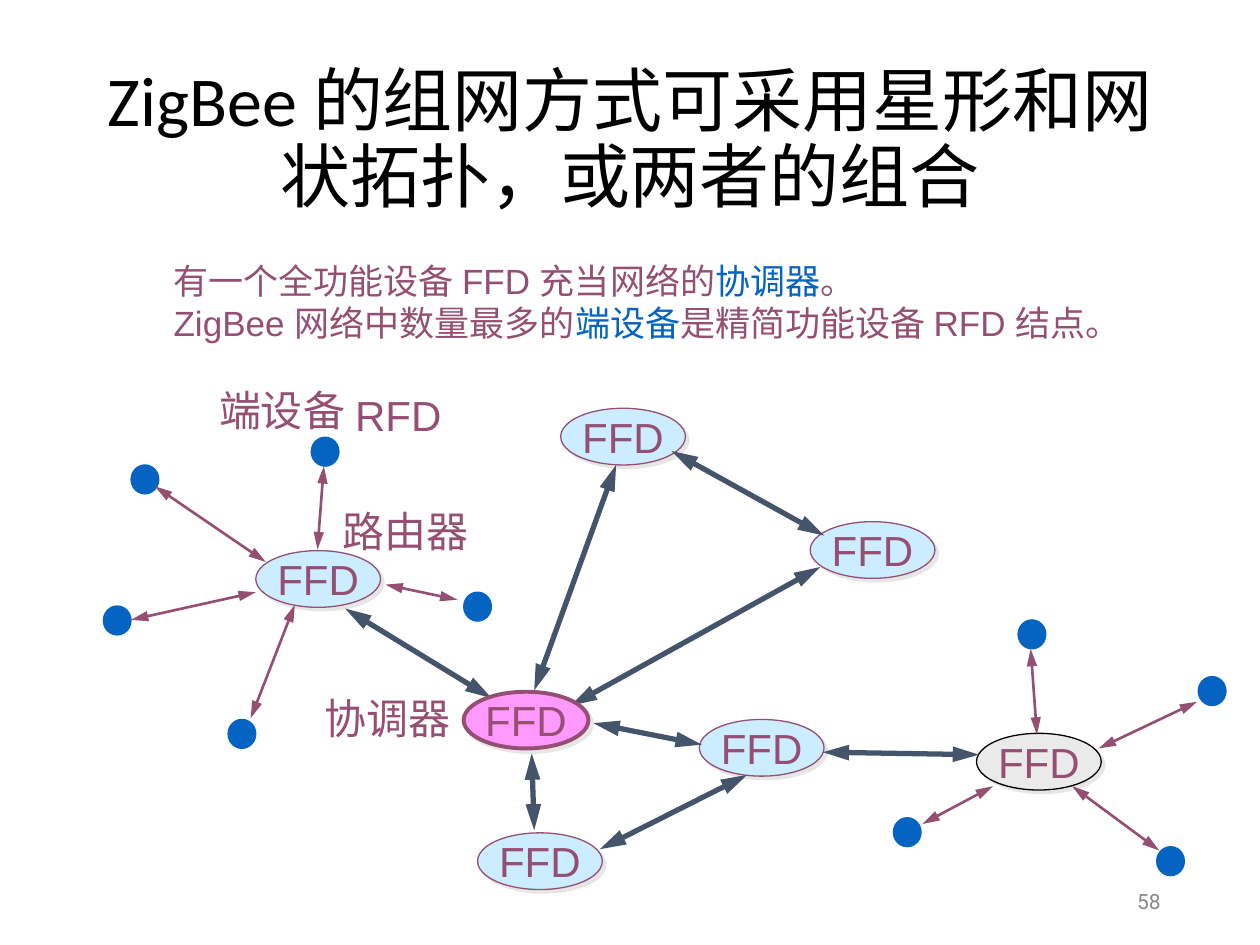
from lxml.etree import SubElement
from pptx import Presentation
from pptx.dml.color import RGBColor
from pptx.enum.shapes import MSO_CONNECTOR as LINE, MSO_SHAPE as SHAPE
from pptx.enum.text import MSO_ANCHOR as ANCHOR, MSO_AUTO_SIZE as AUTO, PP_ALIGN as ALIGN
from pptx.oxml.ns import qn
from pptx.util import Inches, Pt

COLORS = {
    "black": "000000", "plum": "954F72", "blue": "0563C1", "slate": "44546A",
    "sky": "CCECFF", "gray": "EAEAEA", "pink": "FF99FF", "shade": "E7E6E6",
    "number": "898989",
}
END_DEVICES = [
    (2.47, 3.47), (9.18, 6.72), (7.09, 6.49), (9.51, 5.37), (8.08, 4.92),
    (1.04, 3.69), (0.82, 4.81), (1.81, 5.71), (3.68, 4.7),
]
ROUTERS = [(2.03, 4.37), (3.79, 6.61), (6.43, 4.14), (4.45, 3.24), (5.55, 5.71)]
MESH_LINKS = [
    (4.89, 3.69, 4.24, 5.48), (2.74, 4.83, 3.9, 5.54), (5.33, 3.58, 6.54, 4.25),
    (6.51, 4.5, 4.53, 5.6), (4.22, 5.98, 4.24, 6.59), (5.57, 5.91, 4.71, 5.74),
    (7.77, 5.99, 6.53, 5.97), (5.93, 6.15, 4.76, 6.74),
]
STAR_LINKS = [
    (1.23, 3.86, 2.11, 4.46), (3.06, 4.64, 3.63, 4.76), (2.57, 3.7, 2.52, 4.36),
    (1.04, 4.92, 2.03, 4.7), (9.5, 5.57, 8.72, 5.94), (8.18, 5.15, 8.23, 5.83),
    (2.34, 4.8, 1.99, 5.7), (8.51, 6.24, 9.2, 6.75), (7.88, 6.24, 7.32, 6.54),
]
LABELS = [
    ("RFD", 2.72, 3.04, 0.89), ("端设备", 1.64, 3, 1.2),
    ("路由器", 2.62, 3.96, 1.2), ("协调器", 2.48, 5.45, 1.2),
]
STATEMENTS = [
    [("有一个全功能设备 FFD 充当", "Arial", "plum"), ("网络的", "Roboto", "plum"),
     ("协调器", "Roboto", "blue"), ("。", "Roboto", "plum")],
    [("ZigBee 网络中数量最多的", "Arial", "plum"), ("端设备", "Arial", "blue"),
     ("是精简功能设备 RFD 结点。", "Arial", "plum")],
]


def color(name):
    return RGBColor.from_string(COLORS[name])


def style_font(font, size, face, tint):
    font.size = Pt(size)
    font.name = face
    font.color.rgb = color(tint)


def add_text(slide, text, box, size, face, tint, align=ALIGN.LEFT, anchor=ANCHOR.TOP, wrap=True):
    frame = slide.shapes.add_textbox(*map(Inches, box)).text_frame
    frame.word_wrap = wrap
    frame.vertical_anchor = anchor
    paragraph = frame.paragraphs[0]
    paragraph.text = text
    paragraph.alignment = align
    style_font(paragraph.font, size, face, tint)
    return frame


def add_label(slide, text, left, top, width):
    frame = add_text(slide, text, (left, top, width, 0.5), 24, "Arial", "plum", wrap=False)
    frame.auto_size = AUTO.SHAPE_TO_FIT_TEXT


def add_statements(slide):
    frame = slide.shapes.add_textbox(*map(Inches, (1.28, 2.01, 7.8, 0.77))).text_frame
    frame.word_wrap = True
    frame.auto_size = AUTO.SHAPE_TO_FIT_TEXT
    for index, parts in enumerate(STATEMENTS):
        paragraph = frame.add_paragraph() if index else frame.paragraphs[0]
        for text, face, tint in parts:
            run = paragraph.add_run()
            run.text = text
            style_font(run.font, 20, face, tint)


def add_ellipse(slide, box, fill, outline, weight):
    ellipse = slide.shapes.add_shape(SHAPE.OVAL, *map(Inches, box))
    ellipse.shadow.inherit = False
    ellipse.fill.solid()
    ellipse.fill.fore_color.rgb = color(fill)
    ellipse.line.color.rgb = color(outline)
    ellipse.line.width = Pt(weight)
    return ellipse


def add_end_device(slide, left, top):
    add_ellipse(slide, (left, top, 0.22, 0.23), "blue", "blue", 0.75)


def add_ffd(slide, left, top, fill="sky", outline="plum", weight=0.75):
    node = add_ellipse(slide, (left, top, 0.99, 0.45), fill, outline, weight)
    effects = node._element.spPr.find(qn("a:effectLst"))
    shadow = SubElement(effects, qn("a:outerShdw"), dist=str(Pt(2.8)), dir="2700000",
                        algn="ctr", rotWithShape="0")
    SubElement(shadow, qn("a:srgbClr"), val=COLORS["shade"])
    frame = node.text_frame
    frame.word_wrap = False
    frame.vertical_anchor = ANCHOR.MIDDLE
    paragraph = frame.paragraphs[0]
    paragraph.text = "FFD"
    paragraph.alignment = ALIGN.CENTER
    style_font(paragraph.font, 24, "Arial", "plum")


def add_link(slide, ends, tint, weight):
    link = slide.shapes.add_connector(LINE.STRAIGHT, *map(Inches, ends))
    link.line.color.rgb = color(tint)
    link.line.width = Pt(weight)
    outline = link.line._get_or_add_ln()
    for end in ("a:headEnd", "a:tailEnd"):
        SubElement(outline, qn(end), type="triangle", w="med", len="lg")
    SubElement(link._element.spPr, qn("a:effectLst"))


def main():
    deck = Presentation()
    deck.slide_width, deck.slide_height = Inches(10), Inches(7.5)
    slide = deck.slides.add_slide(deck.slide_layouts[6])

    title = add_text(slide, "ZigBee 的组网方式可采用星形和网状拓扑，或两者的组合",
                     (0.69, 0.4, 8.62, 1.45), 40, "Calibri", "black",
                     ALIGN.CENTER, ANCHOR.MIDDLE)
    title.paragraphs[0].line_spacing = 0.9
    add_statements(slide)

    for place in END_DEVICES:
        add_end_device(slide, *place)
    for place in ROUTERS:
        add_ffd(slide, *place)
    add_ffd(slide, 7.75, 5.82, "gray", "black")
    for ends in MESH_LINKS:
        add_link(slide, ends, "slate", 3)
    for ends in STAR_LINKS:
        add_link(slide, ends, "plum", 1.5)
    add_ffd(slide, 3.68, 5.49, "pink", weight=2.25)
    for label in LABELS:
        add_label(slide, *label)

    add_text(slide, "58", (7.06, 6.95, 2.25, 0.4), 12, "Roboto", "number",
             ALIGN.RIGHT, ANCHOR.MIDDLE)
    deck.save("out.pptx")


if __name__ == "__main__":
    main()
